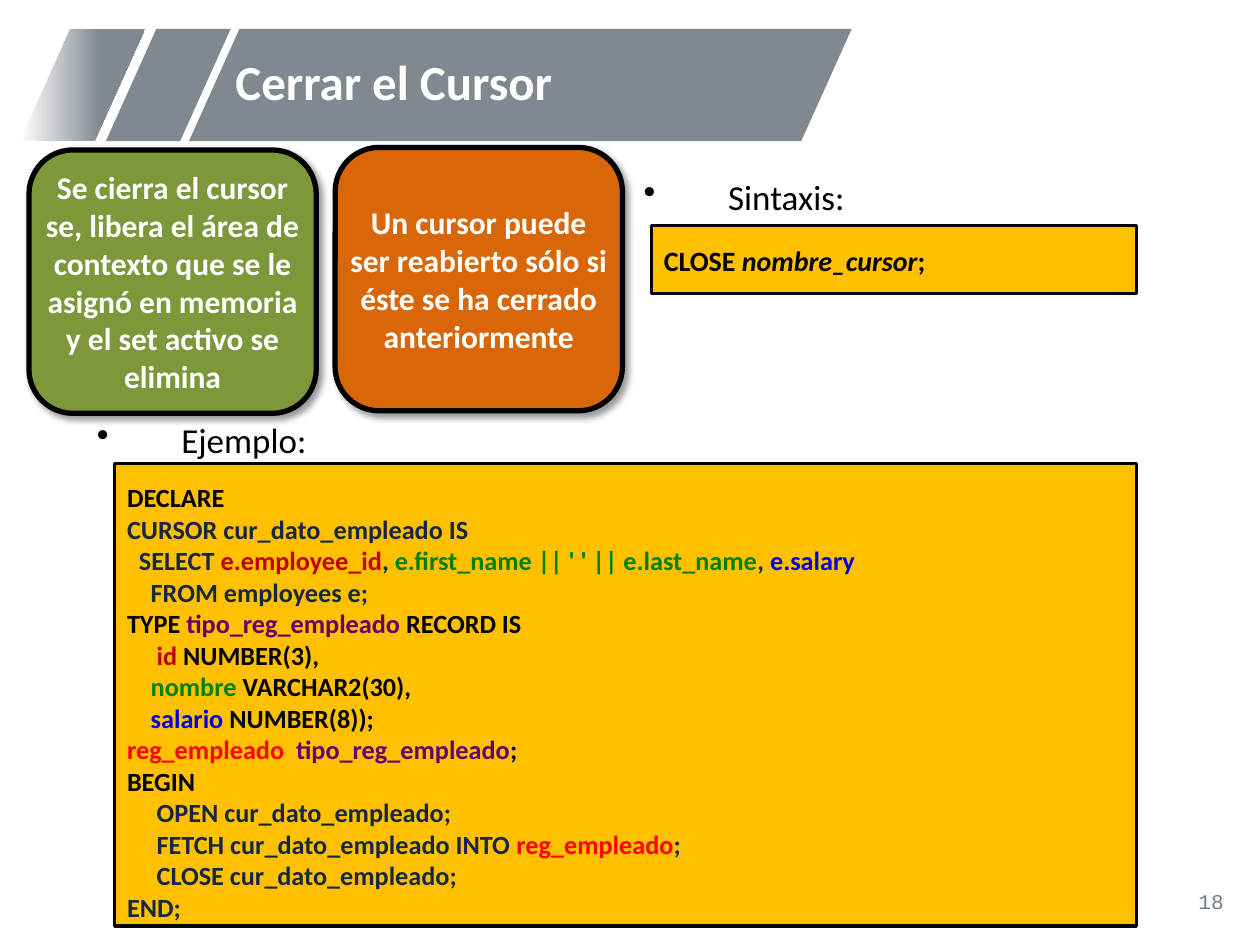
from lxml import etree
from pptx import Presentation
from pptx import util as u
from pptx.dml.color import RGBColor
from pptx.enum import shapes, text
from pptx.oxml import ns

BLACK = RGBColor(0x00, 0x00, 0x00)
WHITE = RGBColor(0xFF, 0xFF, 0xFF)
GRAY = RGBColor(0x81, 0x88, 0x8F)
SLATE = RGBColor(0x6C, 0x7A, 0x8A)
OLIVE = RGBColor(0x7D, 0x98, 0x3A)
ORANGE = RGBColor(0xD9, 0x67, 0x09)
AMBER = RGBColor(0xFF, 0xC0, 0x00)
NAVY = RGBColor(0x17, 0x27, 0x40)
CRIMSON = RGBColor(0xC0, 0x00, 0x00)
GREEN = RGBColor(0x00, 0x80, 0x00)
BLUE = RGBColor(0x00, 0x00, 0xDE)
PURPLE = RGBColor(0x66, 0x00, 0x66)
RED = RGBColor(0xFF, 0x00, 0x00)

SYNTAX = [[("CLOSE ", BLACK), ("nombre_cursor", BLACK, True), (";", BLACK)]]
EXAMPLE = [
    [("DECLARE", BLACK)],
    [("CURSOR cur_dato_empleado IS", NAVY)],
    [("  SELECT ", NAVY), ("e.employee_id", CRIMSON), (", ", NAVY),
     ("e.first_name || ' ' || e.last_name", GREEN), (", ", NAVY), ("e.salary", BLUE)],
    [("    FROM employees e;", NAVY)],
    [("TYPE ", BLACK), ("tipo_reg_empleado ", PURPLE), ("RECORD IS", BLACK)],
    [("     id", CRIMSON), (" NUMBER(3),", BLACK)],
    [("    nombre", GREEN), (" VARCHAR2(30),", BLACK)],
    [("    salario", BLUE), (" NUMBER(8));", BLACK)],
    [("reg_empleado  ", RED), ("tipo_reg_empleado", PURPLE), (";", BLACK)],
    [("BEGIN", BLACK)],
    [("     OPEN cur_dato_empleado;", NAVY)],
    [("     FETCH cur_dato_empleado INTO ", NAVY), ("reg_empleado", RED), (";", NAVY)],
    [("     CLOSE cur_dato_empleado;", NAVY)],
    [("END;", NAVY)],
]


class SlideBuilder:
    font_name = "Calibri"

    def __init__(self, slide):
        self.slide = slide

    def style(self, paragraph, size, color=None, bold=False, name=None):
        font = paragraph.font
        font.name = name or self.font_name
        font.size = u.Pt(size)
        font.bold = bold
        if color is not None:
            font.color.rgb = color

    def shape(self, kind, box, fill=None, line_width=0):
        shape = self.slide.shapes.add_shape(kind, *map(u.Inches, box))
        shape.shadow.inherit = False
        if fill is not None:
            shape.fill.solid()
            shape.fill.fore_color.rgb = fill
        if line_width:
            shape.line.color.rgb = BLACK
            shape.line.width = u.Pt(line_width)
        else:
            shape.line.fill.background()
        return shape

    def stripe(self, left, width, fades=False):
        box = (left, 0.23, width, 0.89)
        shape = self.shape(shapes.MSO_SHAPE.PARALLELOGRAM, box, GRAY)
        shape.adjustments[0] = 0.45
        if fades:
            shape.fill.gradient()
            shape.fill.gradient_angle = 0
            for stop, color, position in zip(shape.fill.gradient_stops, (WHITE, GRAY), (0, 0.65)):
                stop.color.rgb = color
                stop.position = position

    def label(self, box, content, size, color, bold=False, name=None, align=None):
        frame = self.slide.shapes.add_textbox(*map(u.Inches, box)).text_frame
        frame.word_wrap = True
        frame.vertical_anchor = text.MSO_ANCHOR.MIDDLE
        paragraph = frame.paragraphs[0]
        paragraph.text = content
        paragraph.alignment = align
        self.style(paragraph, size, color, bold, name)
        return frame

    def bullet(self, box, content):
        frame = self.slide.shapes.add_textbox(*map(u.Inches, box)).text_frame
        frame.word_wrap = True
        paragraph = frame.paragraphs[0]
        paragraph.text = content
        paragraph.alignment = text.PP_ALIGN.JUSTIFY
        paragraph.line_spacing = 0.8
        properties = paragraph._p.get_or_add_pPr()
        properties.set("marL", str(u.Inches(0.67)))
        properties.set("indent", str(u.Inches(-0.67)))
        etree.SubElement(properties, ns.qn("a:buChar"), char="•")
        self.style(paragraph, 20, BLACK)

    def card(self, left, top, content, fill):
        box = (left, top, 2.28, 2.09)
        shape = self.shape(shapes.MSO_SHAPE.ROUNDED_RECTANGLE, box, fill, 3)
        effects = shape._element.spPr.find(ns.qn("a:effectLst"))
        shadow = etree.SubElement(effects, ns.qn("a:outerShdw"), blurRad=str(u.Pt(4)),
                                  dist=str(u.Pt(3)), dir="2700000", rotWithShape="0")
        color = etree.SubElement(shadow, ns.qn("a:srgbClr"), val=str(BLACK))
        etree.SubElement(color, ns.qn("a:alpha"), val="40000")
        frame = shape.text_frame
        frame.word_wrap = True
        frame.margin_left = frame.margin_right = frame.margin_top = frame.margin_bottom = 0
        paragraph = frame.paragraphs[0]
        paragraph.text = content
        paragraph.alignment = text.PP_ALIGN.CENTER
        self.style(paragraph, 18, WHITE, True)

    def code(self, box, lines, size):
        frame = self.shape(shapes.MSO_SHAPE.RECTANGLE, box, AMBER, 1.75).text_frame
        frame.word_wrap = True
        frame.vertical_anchor = text.MSO_ANCHOR.TOP
        frame.margin_top = u.Inches(0.14)
        frame.margin_bottom = 0
        for index, line in enumerate(lines):
            paragraph = frame.add_paragraph() if index else frame.paragraphs[0]
            paragraph.alignment = text.PP_ALIGN.LEFT
            self.style(paragraph, size, bold=True)
            for content, color, *italic in line:
                run = paragraph.add_run()
                run.text = content
                run.font.color.rgb = color
                if italic:
                    run.font.italic = True


def main():
    presentation = Presentation()
    presentation.slide_width = u.Inches(10)
    presentation.slide_height = u.Inches(7.5)
    builder = SlideBuilder(presentation.slides.add_slide(presentation.slide_layouts[6]))

    builder.stripe(1.5, 5.26)
    builder.stripe(0.84, 0.99)
    builder.stripe(0.16, 0.99, fades=True)
    builder.label((7.56, 6.95, 2.25, 0.4), "18", 12, SLATE,
                  name="Courier New", align=text.PP_ALIGN.RIGHT)
    title = builder.label((1.77, 0.23, 4.69, 0.89), "Cerrar el Cursor", 28, WHITE, bold=True)
    title.paragraphs[0].line_spacing = 0.9

    builder.card(0.23, 1.19, "Se cierra el cursor se, libera el área de contexto que se le "
                 "asignó en memoria y el set activo se elimina", OLIVE)
    builder.card(2.66, 1.17, "Un cursor puede ser reabierto sólo si éste se ha cerrado "
                 "anteriormente", ORANGE)
    builder.bullet((5.01, 1.41, 4.69, 0.45), "Sintaxis:")
    builder.code((5.17, 1.79, 3.85, 0.54), SYNTAX, 16)
    builder.code((0.91, 3.68, 8.11, 3.67), EXAMPLE, 15)
    builder.bullet((0.67, 3.34, 8.58, 0.37), "Ejemplo:")

    presentation.save("out.pptx")


if __name__ == "__main__":
    main()
